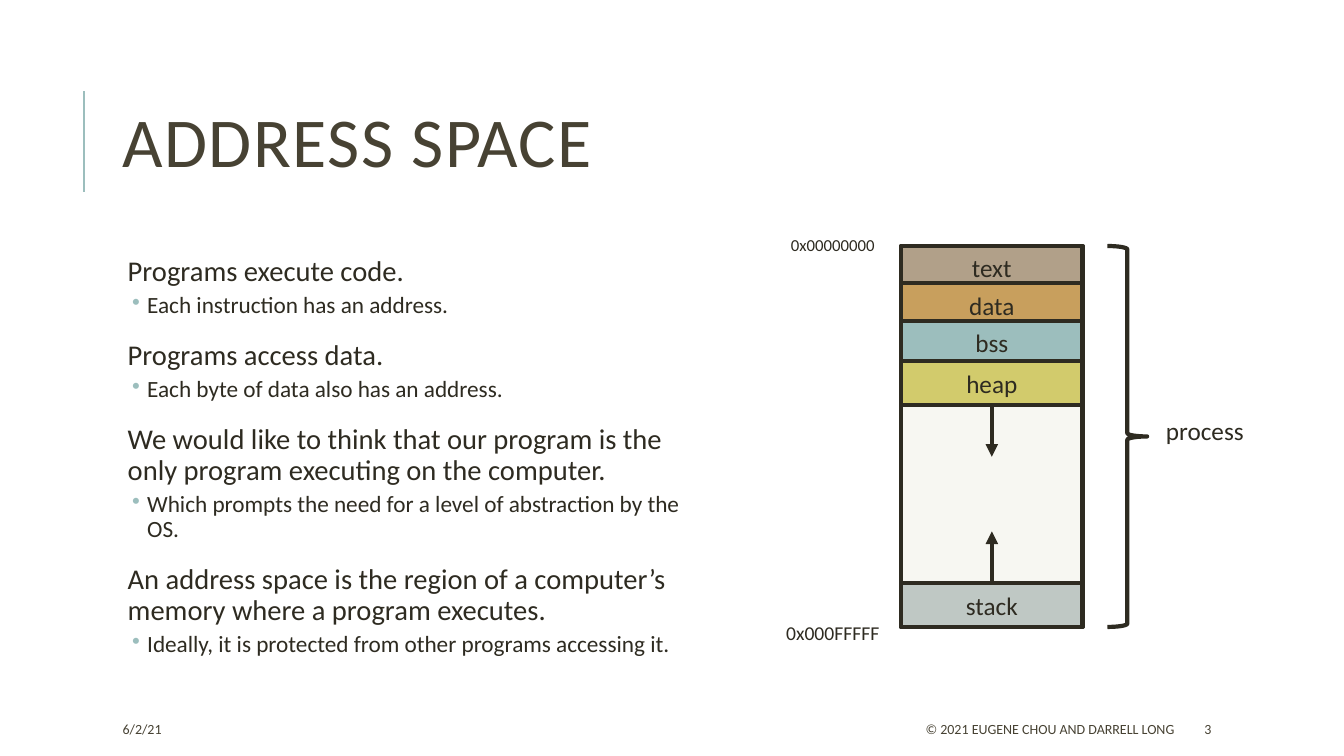
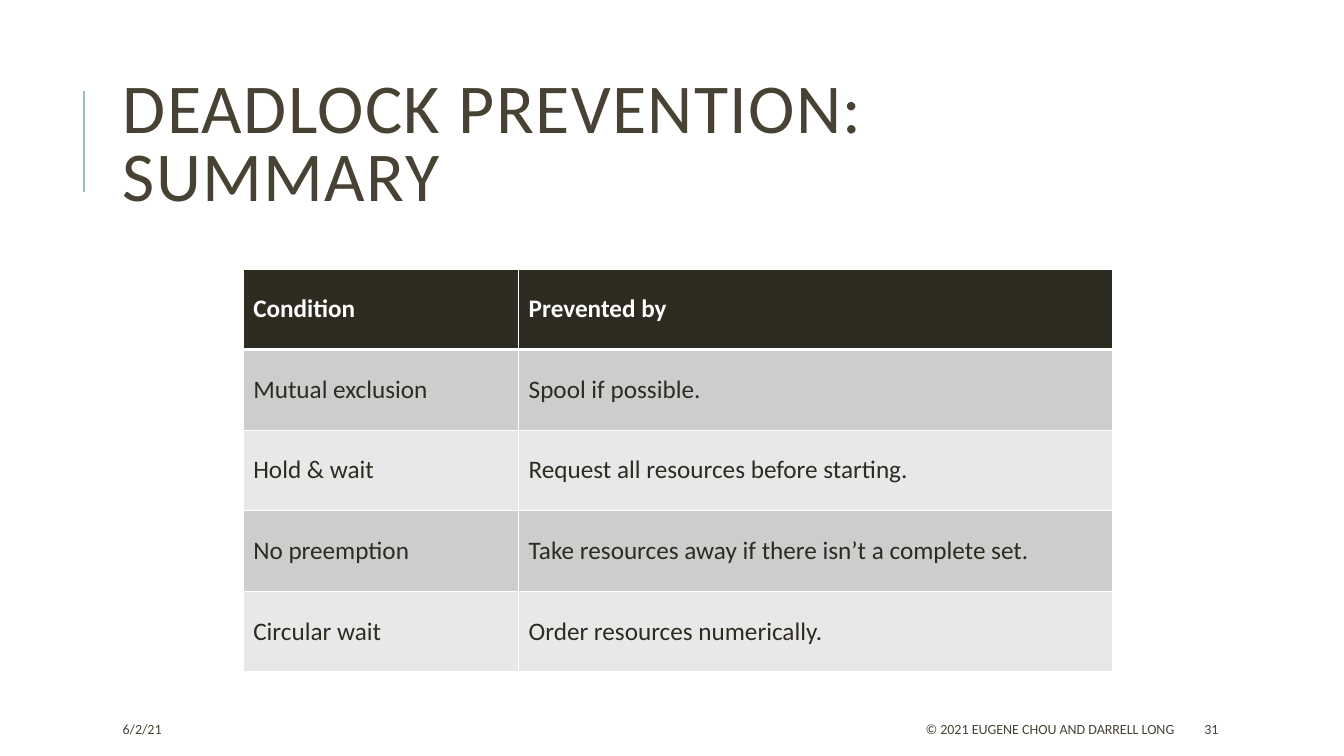
from dataclasses import dataclass

from lxml.etree import SubElement
from pptx import Presentation
from pptx.dml.color import RGBColor
from pptx.enum.shapes import MSO_CONNECTOR, MSO_SHAPE
from pptx.enum.text import MSO_ANCHOR, PP_ALIGN
from pptx.oxml.ns import qn
from pptx.util import Cm, Pt


@dataclass(frozen=True)
class Theme:
    font: str = "Calibri"
    ink: RGBColor = RGBColor.from_string("2E2B21")
    heading: RGBColor = RGBColor.from_string("474233")
    accent: RGBColor = RGBColor.from_string("9CBEBD")
    white: RGBColor = RGBColor.from_string("FFFFFF")
    free_space: RGBColor = RGBColor.from_string("F7F7F2")
    text_segment: RGBColor = RGBColor.from_string("B1A089")
    data_segment: RGBColor = RGBColor.from_string("C89F5D")
    heap_segment: RGBColor = RGBColor.from_string("D2CB6C")
    stack_segment: RGBColor = RGBColor.from_string("BFC8C4")
    dark_row: RGBColor = RGBColor.from_string("CDCDCD")
    light_row: RGBColor = RGBColor.from_string("E8E8E8")
    title_size: float = 50
    point_size: float = 20.4
    detail_size: float = 16.6
    label_size: float = 18
    high_address_size: float = 14
    low_address_size: float = 12
    footer_size: float = 10
    rule_width: float = 1.5
    outline_width: float = 3
    grid_width: float = 1


THEME = Theme()

DATE = "6/2/21"
COPYRIGHT = "© 2021 EUGENE CHOU AND DARRELL LONG"

POINTS = [
    ("Programs execute code.", "Each instruction has an address."),
    ("Programs access data.", "Each byte of data also has an address."),
    ("We would like to think that our program is the only program executing on the computer.",
     "Which prompts the need for a level of abstraction by the OS."),
    ("An address space is the region of a computer’s memory where a program executes.",
     "Ideally, it is protected from other programs accessing it."),
]

PREVENTION = [
    ("Condition", "Prevented by"),
    ("Mutual exclusion", "Spool if possible."),
    ("Hold & wait", "Request all resources before starting."),
    ("No preemption", "Take resources away if there isn’t a complete set."),
    ("Circular wait", "Order resources numerically."),
]


def add_run(paragraph, text, size, color, bold=False):
    run = paragraph.add_run()
    run.text = text
    run.font.name = THEME.font
    run.font.size = Pt(size)
    run.font.color.rgb = color
    run.font.bold = bold
    return run


def add_frame(slide, left, top, width, height, anchor=MSO_ANCHOR.TOP):
    frame = slide.shapes.add_textbox(Cm(left), Cm(top), Cm(width), Cm(height)).text_frame
    frame.word_wrap = True
    frame.vertical_anchor = anchor
    return frame


def add_label(slide, box, text, size, color=THEME.ink,
              align=PP_ALIGN.CENTER, anchor=MSO_ANCHOR.TOP):
    paragraph = add_frame(slide, *box, anchor).paragraphs[0]
    paragraph.alignment = align
    add_run(paragraph, text, size, color)


def add_line(slide, start, end, color, width):
    line = slide.shapes.add_connector(
        MSO_CONNECTOR.STRAIGHT, *(Cm(length) for length in (*start, *end)))
    line.line.color.rgb = color
    line.line.width = Pt(width)
    SubElement(line._element.spPr, qn("a:effectLst"))
    return line


def add_arrow(slide, source, side, start, end):
    arrow = add_line(slide, start, end, THEME.ink, THEME.outline_width)
    arrow.begin_connect(source, side)
    SubElement(arrow.line._get_or_add_ln(), qn("a:tailEnd"), type="triangle")


def add_outline(slide, preset, left, top, width, height, fill=None):
    outline = slide.shapes.add_shape(preset, Cm(left), Cm(top), Cm(width), Cm(height))
    outline.shadow.inherit = False
    outline.line.color.rgb = THEME.ink
    outline.line.width = Pt(THEME.outline_width)
    if fill is None:
        outline.fill.background()
    else:
        outline.fill.solid()
        outline.fill.fore_color.rgb = fill
    return outline


def add_segment(slide, left, top, width, height, name, fill):
    segment = add_outline(slide, MSO_SHAPE.RECTANGLE, left, top, width, height, fill)
    segment.text_frame.vertical_anchor = MSO_ANCHOR.MIDDLE
    paragraph = segment.text_frame.paragraphs[0]
    paragraph.alignment = PP_ALIGN.CENTER
    add_run(paragraph, name, THEME.label_size, THEME.ink)
    return segment


def add_page(deck, title, number):
    slide = deck.slides.add_slide(deck.slide_layouts[6])
    add_line(slide, (2.11, 4.83), (2.11, 2.29), THEME.accent, THEME.rule_width)
    heading = add_frame(slide, 2.84, 1.63, 27, 4.17, MSO_ANCHOR.MIDDLE).paragraphs[0]
    heading.line_spacing = 0.8
    run = add_run(heading, title, THEME.title_size, THEME.heading)
    run.font._element.set("spc", "100")
    for left, width, text, align in (
        (2.84, 6, DATE, PP_ALIGN.LEFT),
        (13.46, 16.38, COPYRIGHT, PP_ALIGN.RIGHT),
        (30.1, 2.7, str(number), PP_ALIGN.LEFT),
    ):
        add_label(slide, (left, 17.98, width, 0.76), text, THEME.footer_size,
                  THEME.heading, align, MSO_ANCHOR.MIDDLE)
    return slide


def add_point(paragraph, text, first):
    paragraph._p.get_or_add_pPr().set("marL", str(Cm(0.25)))
    paragraph.line_spacing = 0.9
    paragraph.space_before = Pt(0 if first else 12)
    paragraph.space_after = Pt(2)
    add_run(paragraph, text, THEME.point_size, THEME.ink)


def add_detail(paragraph, text):
    paragraph.line_spacing = 0.9
    paragraph.space_before = Pt(2)
    paragraph.space_after = Pt(4)
    properties = paragraph._p.get_or_add_pPr()
    properties.set("marL", str(Cm(0.74)))
    properties.set("indent", str(Cm(-0.38)))
    bullet_color = SubElement(properties, qn("a:buClr"))
    SubElement(bullet_color, qn("a:srgbClr"), val=str(THEME.accent))
    SubElement(properties, qn("a:buChar"), char="•")
    add_run(paragraph, text, THEME.detail_size, THEME.ink)


def add_points(slide, points):
    frame = add_frame(slide, 2.84, 6.35, 14.71, 11.18)
    frame.margin_left = frame.margin_right = Cm(0.13)
    frame.margin_top = frame.margin_bottom = Cm(0.13)
    for index, (point, detail) in enumerate(points):
        first = index == 0
        add_point(frame.paragraphs[0] if first else frame.add_paragraph(), point, first)
        add_detail(frame.add_paragraph(), detail)


def add_memory_map(slide):
    left, top, width, height = 22.71, 6.2, 4.57, 9.6
    segment_height = 1.1
    bottom = top + height
    center = left + width / 2
    add_outline(slide, MSO_SHAPE.RECTANGLE, left, top, width, height, THEME.free_space)
    segments = {}
    for name, segment_top, fill in (
        ("text", top, THEME.text_segment),
        ("data", 7.14, THEME.data_segment),
        ("bss", 8.08, THEME.accent),
        ("heap", 9.1, THEME.heap_segment),
        ("stack", bottom - segment_height, THEME.stack_segment),
    ):
        segments[name] = add_segment(slide, left, segment_top, width, segment_height, name, fill)
    add_arrow(slide, segments["stack"], 0, (center, bottom - segment_height), (center, 13.39))
    add_arrow(slide, segments["heap"], 2, (center, 9.1 + segment_height), (center, 11.51))
    add_label(slide, (18.59, 15.52, 4.8, 0.86), "0x000FFFFF", THEME.high_address_size)
    add_label(slide, (18.59, 5.79, 4.8, 0.76), "0x00000000", THEME.low_address_size)
    add_outline(slide, MSO_SHAPE.RIGHT_BRACE, 27.91, top, 1, height)
    add_label(slide, (28.7, 10.34, 3.33, 1.02), "process", THEME.label_size)


def set_borders(cell, widths):
    properties = cell._tc.get_or_add_tcPr()
    for side, width in zip("LRTB", widths):
        border = SubElement(properties, qn(f"a:ln{side}"), w=str(Pt(width)))
        fill = SubElement(border, qn("a:solidFill"))
        SubElement(fill, qn("a:srgbClr"), val=str(THEME.white))


def add_grid(slide, rows):
    column_widths = (6.94, 14.96)
    row_height = 2.03
    table = slide.shapes.add_table(
        len(rows), len(column_widths), Cm(6.13), Cm(6.78),
        Cm(sum(column_widths)), Cm(row_height * len(rows))).table
    for column, width in zip(table.columns, column_widths):
        column.width = Cm(width)
    thin, thick = THEME.grid_width, THEME.outline_width
    for row_index, texts in enumerate(rows):
        header = row_index == 0
        table.rows[row_index].height = Cm(row_height)
        band = THEME.dark_row if row_index % 2 else THEME.light_row
        for column_index, text in enumerate(texts):
            cell = table.cell(row_index, column_index)
            set_borders(cell, (thin, thin, thick if row_index == 1 else thin,
                               thick if header else thin))
            cell.fill.solid()
            cell.fill.fore_color.rgb = THEME.ink if header else band
            cell.vertical_anchor = MSO_ANCHOR.MIDDLE
            add_run(cell.text_frame.paragraphs[0], text, THEME.label_size,
                    THEME.white if header else THEME.ink, header)


def main():
    deck = Presentation()
    deck.slide_width, deck.slide_height = Cm(33.87), Cm(19.05)
    address_space = add_page(deck, "ADDRESS SPACE", 3)
    add_points(address_space, POINTS)
    add_memory_map(address_space)
    summary = add_page(deck, "DEADLOCK PREVENTION: SUMMARY", 31)
    add_grid(summary, PREVENTION)
    deck.save("out.pptx")


if __name__ == "__main__":
    main()
